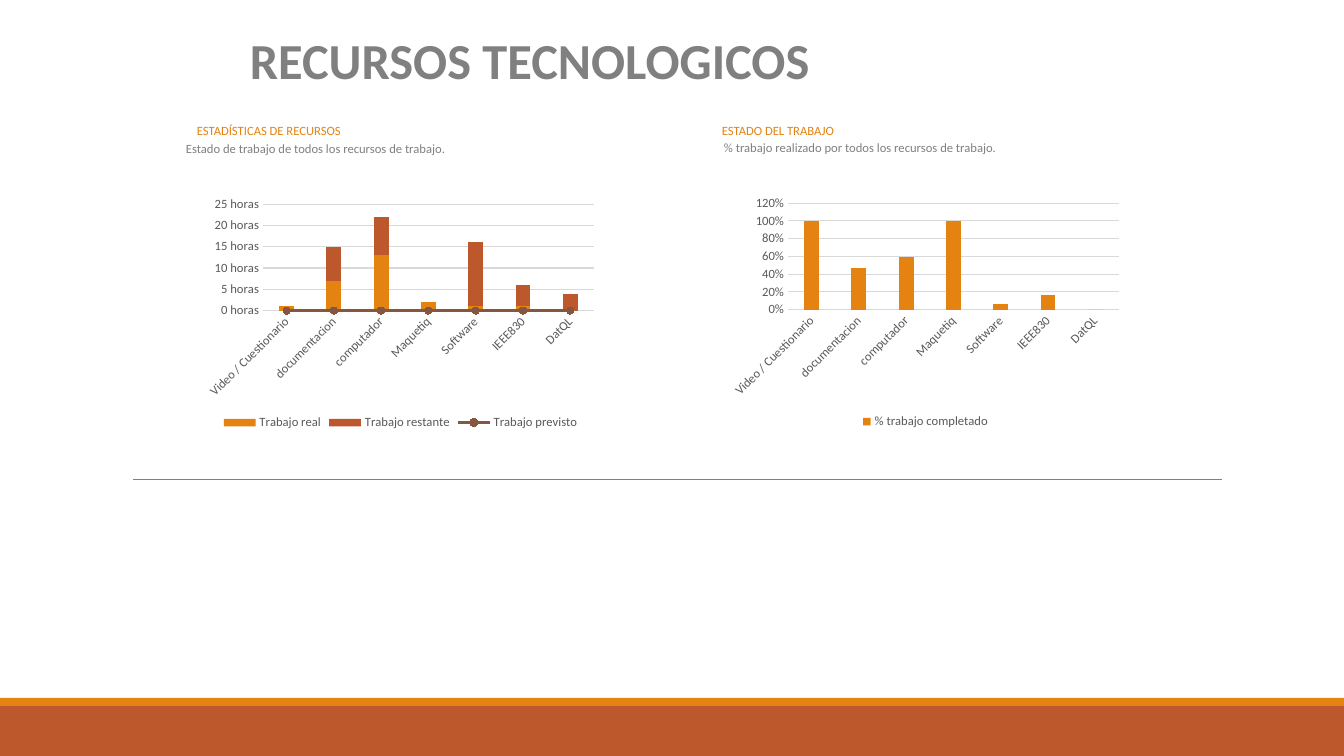
from dataclasses import dataclass

from pptx import Presentation
from pptx.chart.data import CategoryChartData
from pptx.dml.color import RGBColor
from pptx.enum.chart import XL_CHART_TYPE as ChartType, XL_LEGEND_POSITION as LegendPos
from pptx.enum.chart import XL_MARKER_STYLE as MarkerStyle, XL_TICK_MARK as TickMark
from pptx.enum.shapes import MSO_CONNECTOR as Connector, MSO_SHAPE as Shape
from pptx.enum.text import MSO_ANCHOR as Anchor
from pptx.oxml import parse_xml
from pptx.oxml.ns import nsdecls, qn
from pptx.util import Emu, Pt


@dataclass(frozen=True)
class Theme:
    orange: str = "E48312"
    rust: str = "BD582C"
    brown: str = "865640"
    gray: str = "808080"
    axis_text: str = "595959"
    grid: str = "D9D9D9"
    white: str = "FFFFFF"
    font: str = "Calibri"
    title_size: int = 36
    small_size: int = 9


THEME = Theme()
WIDTH, HEIGHT = 1344, 756


def px(length):
    return Emu(round(length * 12192000 / WIDTH))


def rgb(color):
    return RGBColor.from_string(color)


class SlideBuilder:
    def __init__(self, slide, theme):
        self.shapes = slide.shapes
        self.theme = theme

    def style_font(self, font, size, color, bold=False):
        font.name, font.size, font.bold = self.theme.font, Pt(size), bold
        font.color.rgb = rgb(color)

    def style_line(self, line, color, width):
        line.color.rgb = rgb(color)
        line.width = Pt(width)

    def band(self, top, height, color):
        band = self.shapes.add_shape(Shape.RECTANGLE, 0, px(top), px(WIDTH), px(height))
        band.shadow.inherit = False
        band.fill.solid()
        band.fill.fore_color.rgb = rgb(color)
        band.line.fill.background()

    def rule(self, left, right, y):
        rule = self.shapes.add_connector(Connector.STRAIGHT, px(left), px(y), px(right), px(y))
        self.style_line(rule.line, self.theme.gray, 0.5)
        rule._element.spPr.append(parse_xml(f"<a:effectLst {nsdecls('a')}/>"))

    def text(self, box, wording, size, color, bold=False, fill=None, anchor=Anchor.TOP):
        label = self.shapes.add_textbox(*map(px, box))
        if fill:
            label.fill.solid()
            label.fill.fore_color.rgb = rgb(fill)
        frame = label.text_frame
        frame.word_wrap = True
        frame.vertical_anchor = anchor
        frame.text = wording
        self.style_font(frame.paragraphs[0].runs[0].font, size, color, bold)

    def column_chart(self, box, kind, categories, series, overlap, number_format, top, step):
        """Draw columns; series holds (name, values, color) rows."""
        data = CategoryChartData()
        data.categories = categories
        for name, values, _ in series:
            data.add_series(name, values)
        chart = self.shapes.add_chart(kind, *map(px, box), data).chart
        chart.has_title = False
        self.style_font(chart.font, self.theme.small_size, self.theme.axis_text)

        columns = chart.plots[0]
        columns.vary_by_categories = False
        columns.gap_width, columns.overlap = 219, overlap
        for column, (_, _, color) in zip(columns.series, series):
            column.format.fill.solid()
            column.format.fill.fore_color.rgb = rgb(color)

        self.style_axes(chart, number_format, top, step)
        chart.has_legend = True
        chart.legend.position = LegendPos.BOTTOM
        chart.legend.include_in_layout = False
        self.style_font(chart.legend.font, self.theme.small_size, self.theme.axis_text)
        return chart

    def style_axes(self, chart, number_format, top, step):
        names, amounts = chart.category_axis, chart.value_axis
        for axis in (names, amounts):
            axis.major_tick_mark = axis.minor_tick_mark = TickMark.NONE
            self.style_font(axis.tick_labels.font, self.theme.small_size, self.theme.axis_text)
        self.style_line(names.format.line, self.theme.grid, 0.75)
        names._element.find(qn("c:txPr")).find(qn("a:bodyPr")).set("rot", "-2700000")
        amounts.format.line.fill.background()
        amounts.has_major_gridlines = True
        self.style_line(amounts.major_gridlines.format.line, self.theme.grid, 0.75)
        amounts.minimum_scale, amounts.maximum_scale, amounts.major_unit = 0, top, step
        amounts.tick_labels.number_format = number_format
        amounts.tick_labels.number_format_is_linked = False

    def last_series_as_line(self, chart, color):
        """Move the last column series to a line plot on the same axes."""
        bars = chart.plots[0]._element
        moved = bars.findall(qn("c:ser"))[-1]
        for tag in ("c:spPr", "c:invertIfNegative"):
            for child in moved.findall(qn(tag)):
                moved.remove(child)
        line_plot = parse_xml(
            f'<c:lineChart {nsdecls("c")}><c:grouping val="standard"/>'
            '<c:varyColors val="0"/><c:marker val="1"/></c:lineChart>')
        line_plot.insert(2, moved)
        for axis_id in bars.findall(qn("c:axId")):
            line_plot.append(parse_xml(f'<c:axId {nsdecls("c")} val="{axis_id.get("val")}"/>'))
        bars.addnext(line_plot)

        planned = chart.plots[1].series[0]
        planned.smooth = False
        self.style_line(planned.format.line, color, 2.25)
        planned.marker.style, planned.marker.size = MarkerStyle.CIRCLE, 5
        planned.marker.format.fill.solid()
        planned.marker.format.fill.fore_color.rgb = rgb(color)
        self.style_line(planned.marker.format.line, color, 0.75)


RESOURCES = ["Video / Cuestionario", "documentacion", "computador", "Maquetiq",
             "Software", "IEEE830", "DatQL"]
WORK_HOURS = [
    ("Trabajo real", [1, 7, 13, 2, 1, 1, 0], THEME.orange),
    ("Trabajo restante", [0, 8, 9, 0, 15, 5, 4], THEME.rust),
    ("Trabajo previsto", [0] * 7, THEME.brown),
]
WORK_DONE = [("% trabajo completado", [100, 47, 59, 100, 6, 17, 0], THEME.orange)]


def main():
    deck = Presentation()
    deck.slide_width, deck.slide_height = px(WIDTH), px(HEIGHT)
    page = SlideBuilder(deck.slides.add_slide(deck.slide_layouts[6]), THEME)
    small = THEME.small_size

    # Footer bands and divider
    page.band(706, 50, THEME.rust)
    page.band(698, 8, THEME.orange)
    page.rule(133, 1222, 479)

    # Title
    page.text((240, 39, 838, 40), "RECURSOS TECNOLOGICOS", THEME.title_size, THEME.gray,
              bold=True, fill=THEME.white, anchor=Anchor.MIDDLE)

    # Resource statistics
    hours = page.column_chart((199, 192, 403, 242), ChartType.COLUMN_STACKED, RESOURCES,
                              WORK_HOURS, 100, '#,##0_ "horas"', 25, 5)
    page.last_series_as_line(hours, THEME.brown)
    page.text((187, 118, 397, 16), "ESTADÍSTICAS DE RECURSOS", small, THEME.orange,
              fill=THEME.white)
    page.text((176, 136, 308, 40), "Estado de trabajo de todos los recursos de trabajo.",
              small, THEME.gray)

    # Work status
    page.column_chart((724, 191, 403, 242), ChartType.COLUMN_CLUSTERED, RESOURCES,
                      WORK_DONE, -27, '#,##0"%"', 120, 20)
    page.text((712, 118, 403, 24), "ESTADO DEL TRABAJO", small, THEME.orange)
    page.text((714, 135, 403, 25), "% trabajo realizado por todos los recursos de trabajo.",
              small, THEME.gray)

    deck.save("out.pptx")


if __name__ == "__main__":
    main()
